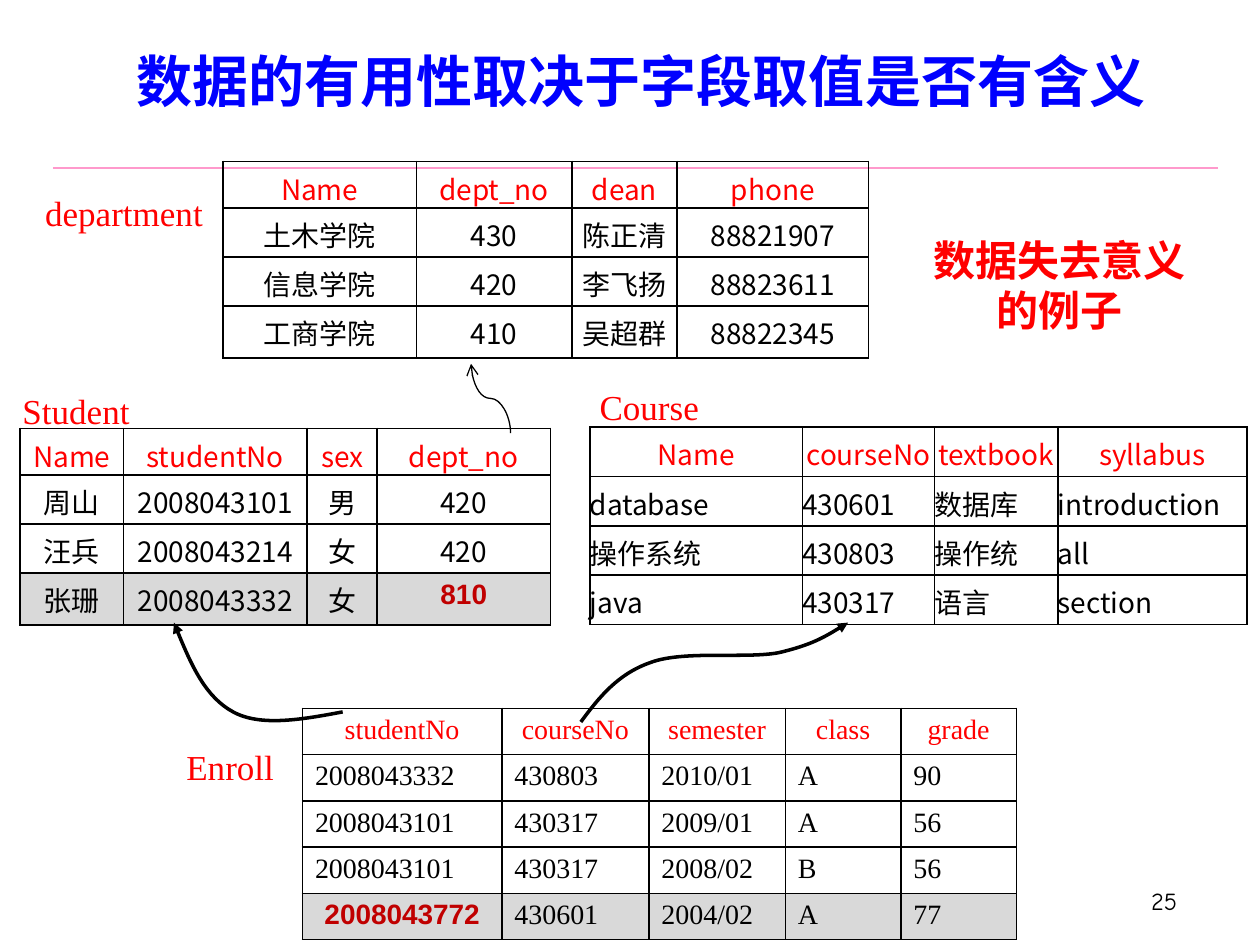
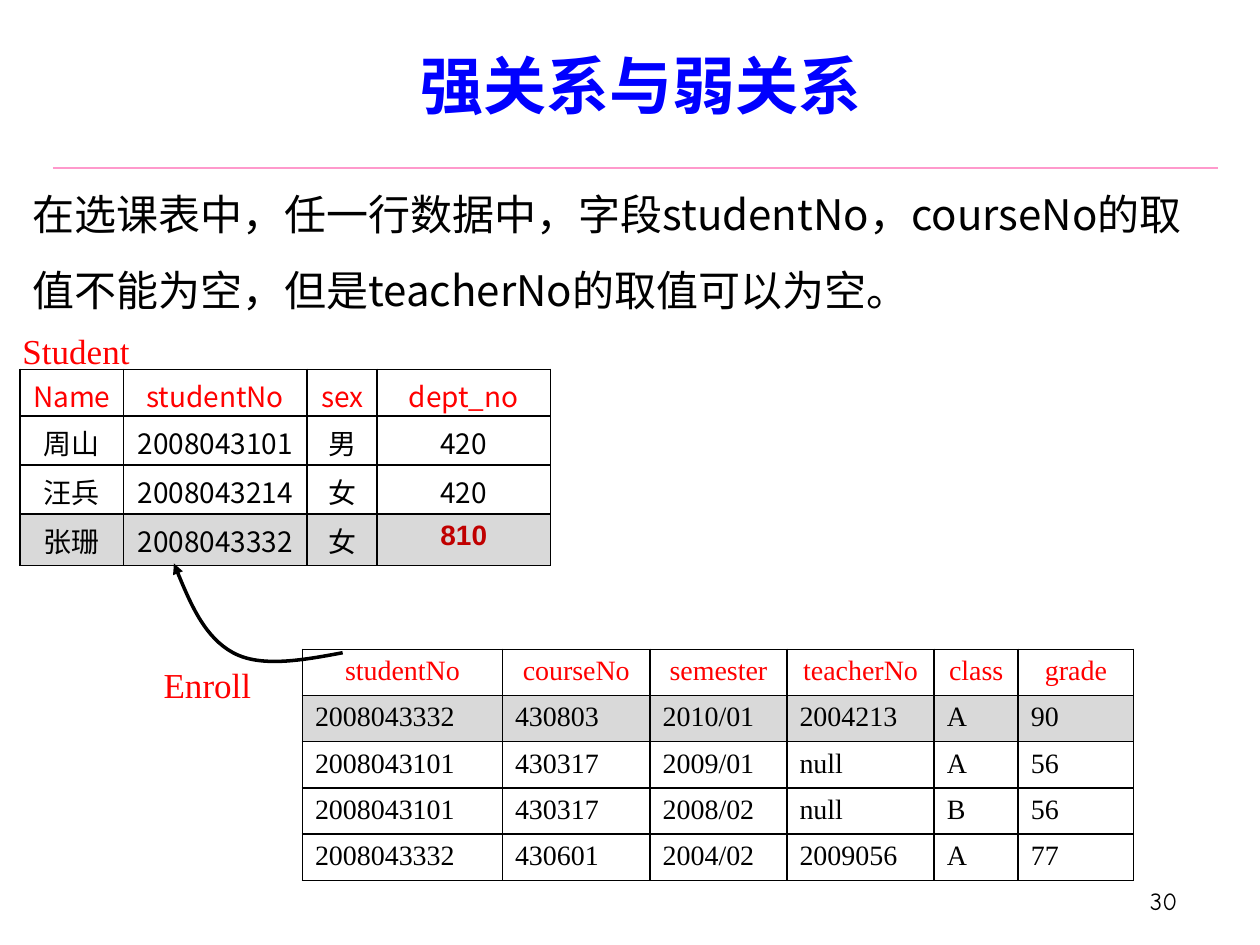
from dataclasses import dataclass

from lxml.etree import SubElement
from pptx import Presentation
from pptx.dml.color import RGBColor
from pptx.enum.shapes import MSO_CONNECTOR as Connector
from pptx.enum.text import MSO_ANCHOR as Anchor, PP_ALIGN as Align
from pptx.oxml.ns import qn
from pptx.util import Pt


@dataclass(frozen=True)
class Theme:
    black: str = "000000"
    red: str = "FF0000"
    dark_red: str = "C00000"
    blue: str = "0000FF"
    pink: str = "FF99CC"
    grey: str = "D9D9D9"
    cjk: str = "Noto Sans CJK SC"
    serif: str = "Times New Roman"
    sans: str = "Arial"
    number: str = "Comic Neue"
    cell_size: int = 16
    label_size: int = 20
    body_size: int = 24
    number_size: int = 14


THEME = Theme()

# Content: the first row of each table is its header
STUDENT = [
    ("Name", "studentNo", "sex", "dept_no"),
    ("周山", "2008043101", "男", "420"),
    ("汪兵", "2008043214", "女", "420"),
    ("张珊", "2008043332", "女", "810"),
]
DEPARTMENT = [
    ("Name", "dept_no", "dean", "phone"),
    ("土木学院", "430", "陈正清", "88821907"),
    ("信息学院", "420", "李飞扬", "88823611"),
    ("工商学院", "410", "吴超群", "88822345"),
]
COURSE = [
    ("Name", "courseNo", "textbook", "syllabus"),
    ("database", "430601", "数据库", "introduction"),
    ("操作系统", "430803", "操作统", "all"),
    ("java", "430317", "语言", "section"),
]
ENROLL = [
    ("studentNo", "courseNo", "semester", "class", "grade"),
    ("2008043332", "430803", "2010/01", "A", "90"),
    ("2008043101", "430317", "2009/01", "A", "56"),
    ("2008043101", "430317", "2008/02", "B", "56"),
    ("2008043772", "430601", "2004/02", "A", "77"),
]
ENROLL_WITH_TEACHER = [
    ("studentNo", "courseNo", "semester", "teacherNo", "class", "grade"),
    ("2008043332", "430803", "2010/01", "2004213", "A", "90"),
    ("2008043101", "430317", "2009/01", "null", "A", "56"),
    ("2008043101", "430317", "2008/02", "null", "B", "56"),
    ("2008043332", "430601", "2004/02", "2009056", "A", "77"),
]
DANGLING_KEYS = {"810", "2008043772"}
MEANINGFUL = {"title": "数据的有用性取决于字段取值是否有含义", "size": 32, "number": "25",
              "remark": ["数据失去意义", "的例子"]}
STRONG_WEAK = {"title": "强关系与弱关系", "size": 36, "number": "30",
               "rule": ["在选课表中，任一行数据中，字段studentNo，courseNo的"
                        "取值不能为空，但是teacherNo的取值可以为空。"]}

# Geometry in points
PERSON_ROWS = (26.64, 28.08, 28.08, 29.52)
COURSE_ROWS = (28.26,) * 4
ENROLL_ROWS = (26.35,) * 5
STUDENT_COLS = (59, 105, 40, 99)
DEPARTMENT_COLS = (110.5, 89, 60, 109.5)
COURSE_COLS = (121.5, 75.5, 70.5, 108)
ENROLL_COLS = (114, 84, 78, 66, 66)
TEACHER_COLS = (114.3, 84.4, 78.2, 84.2, 48, 66)
ENROLL_DROP = 160      # from the top of Student to the top of Enroll
# Bezier points: a start, then threes; y counts from the top of Student
TO_STUDENT = [(195.8, 162), (172.8, 166.3), (149, 170.6), (133.2, 162),
              (117.4, 153.4), (108, 132.5), (99.4, 111)]
TO_COURSE = [(331.9, 167.8), (342, 154.1), (352.8, 140.4), (371.5, 133.9),
             (390.2, 126.7), (426.2, 131.8), (445, 128.2),
             (463.7, 123.8), (474.5, 117.4), (484.6, 111)]


def color(code):
    return RGBColor.from_string(code)


def add_run(paragraph, text, font, size, ink, bold=False):
    run = paragraph.add_run()
    run.text = text
    run.font.name, run.font.size, run.font.bold = font, Pt(size), bold
    run.font.color.rgb = color(ink)
    SubElement(run.font._element, qn("a:ea"), typeface=font)


def add_text(slide, lines, box, font, size, ink, bold=False,
             align=Align.LEFT, anchor=Anchor.TOP):
    frame = slide.shapes.add_textbox(*map(Pt, box)).text_frame
    frame.word_wrap = True
    frame.vertical_anchor = anchor
    for index, line in enumerate(lines):
        paragraph = frame.add_paragraph() if index else frame.paragraphs[0]
        paragraph.alignment = align
        add_run(paragraph, line, font, size, ink, bold)
    return frame


def add_label(slide, name, left, top):
    add_text(slide, [name], (left, top, 132, 31), THEME.serif, THEME.label_size,
             THEME.red, anchor=Anchor.MIDDLE)


def style_line(shape, ink, width, head=None):
    shape.line.color.rgb = color(ink)
    shape.line.width = Pt(width)
    if head:
        SubElement(shape.line._get_or_add_ln(), qn("a:tailEnd"), type=head)


def add_connector(slide, kind, start, end, ink, width, head=None):
    connector = slide.shapes.add_connector(kind, *map(Pt, start + end))
    style_line(connector, ink, width, head)
    SubElement(connector._element.spPr, qn("a:effectLst"))
    return connector


def add_curve(slide, points, top):
    """Draw the Bezier points as one open outline with an arrowhead."""
    (start_x, start_y), *rest = [(Pt(x), Pt(y + top)) for x, y in points]
    builder = slide.shapes.build_freeform(start_x, start_y)
    builder.add_line_segments(rest, close=False)
    curve = builder.convert_to_shape()
    segments = list(curve._element.iter(qn("a:lnTo")))
    outline = segments[0].getparent()
    for first in range(0, len(segments), 3):
        bezier = SubElement(outline, qn("a:cubicBezTo"))
        for segment in segments[first:first + 3]:
            bezier.append(segment[0])
            outline.remove(segment)
    curve.fill.background()
    curve.shadow.inherit = False
    style_line(curve, THEME.black, 2, "triangle")


def add_borders(cell):
    properties = cell._tc.get_or_add_tcPr()
    for side in ("lnL", "lnR", "lnT", "lnB"):
        border = SubElement(properties, qn(f"a:{side}"), w=str(Pt(1)))
        fill = SubElement(border, qn("a:solidFill"))
        SubElement(fill, qn("a:srgbClr"), val=THEME.black)


def add_grid(slide, rows, left, top, widths, heights, font=THEME.cjk,
             body_align=Align.CENTER, side_inset=0, shaded=None):
    table = slide.shapes.add_table(
        len(rows), len(widths), Pt(left), Pt(top),
        Pt(sum(widths)), Pt(sum(heights))).table
    table.first_row = table.horz_banding = False
    for column, width in zip(table.columns, widths):
        column.width = Pt(width)
    for row_no, (values, height) in enumerate(zip(rows, heights)):
        table.rows[row_no].height = Pt(height)
        for column_no, value in enumerate(values):
            cell = table.cell(row_no, column_no)
            cell.margin_left = cell.margin_right = Pt(side_inset)
            add_borders(cell)
            if row_no == shaded:
                cell.fill.solid()
                cell.fill.fore_color.rgb = color(THEME.grey)
            else:
                cell.fill.background()
            dangling = value in DANGLING_KEYS
            paragraph = cell.text_frame.paragraphs[0]
            paragraph.alignment = Align.CENTER if dangling or row_no == 0 else body_align
            paragraph.space_before = Pt(1.6)
            if dangling:
                add_run(paragraph, value, THEME.sans, THEME.cell_size, THEME.dark_red, True)
            else:
                ink = THEME.black if row_no else THEME.red
                add_run(paragraph, value, font, THEME.cell_size, ink)


def start_slide(deck, content):
    slide = deck.slides.add_slide(deck.slide_layouts[6])
    add_connector(slide, Connector.STRAIGHT, (30.24, 96), (696.24, 96), THEME.pink, 1.5)
    add_text(slide, [content["number"]], (530, 502.5, 149.8, 36), THEME.number,
             THEME.number_size, THEME.black, align=Align.RIGHT)
    add_text(slide, [content["title"]], (11.5, 23, 710, 46), THEME.cjk,
             content["size"], THEME.blue, True, Align.CENTER)
    return slide


def add_student_and_enroll(slide, top, enroll, enroll_cols, shaded, label_at):
    """Place the two linked tables; everything hangs from the top of Student."""
    add_label(slide, "Student", 5.76, top - 26)
    add_grid(slide, STUDENT, 11.5, top, STUDENT_COLS, PERSON_ROWS, shaded=3)
    add_label(slide, "Enroll", *label_at)
    add_grid(slide, enroll, 172.8, top + ENROLL_DROP, enroll_cols, ENROLL_ROWS,
             THEME.serif, Align.LEFT, 7.2, shaded)
    add_curve(slide, TO_STUDENT, top)


def build_meaningful(deck):
    slide = start_slide(deck, MEANINGFUL)
    top = 244.8
    add_student_and_enroll(slide, top, ENROLL, ENROLL_COLS, 4, (99.4, 422.6))
    add_label(slide, "Course", 335.5, 216.7)
    add_grid(slide, COURSE, 337, 244, COURSE_COLS, COURSE_ROWS, body_align=Align.LEFT)
    add_curve(slide, TO_COURSE, top)
    add_label(slide, "department", 18.7, 106)
    add_grid(slide, DEPARTMENT, 127.4, 92.2, DEPARTMENT_COLS, PERSON_ROWS)
    to_department = add_connector(slide, Connector.CURVE, (260.64, 239), (300.24, 216.4),
                                  THEME.black, 0.75, "arrow")
    to_department._element.spPr.find(qn("a:xfrm")).set("rot", str(270 * 60000))
    add_text(slide, MEANINGFUL["remark"], (507.6, 130.3, 195.8, 65.5), THEME.cjk,
             THEME.body_size, THEME.red, True, Align.CENTER)


def build_strong_weak(deck):
    slide = start_slide(deck, STRONG_WEAK)
    add_student_and_enroll(slide, 211, ENROLL_WITH_TEACHER, TEACHER_COLS, 1, (86.4, 375.8))
    rule = add_text(slide, STRONG_WEAK["rule"], (11.5, 90, 683.3, 94.3), THEME.cjk,
                    THEME.body_size, THEME.black).paragraphs[0]
    rule.line_spacing = 1.5
    rule.space_before = rule.space_after = Pt(6)


def main():
    deck = Presentation()
    deck.slide_width, deck.slide_height = Pt(720), Pt(540)
    build_meaningful(deck)
    build_strong_weak(deck)
    deck.save("out.pptx")


if __name__ == "__main__":
    main()
